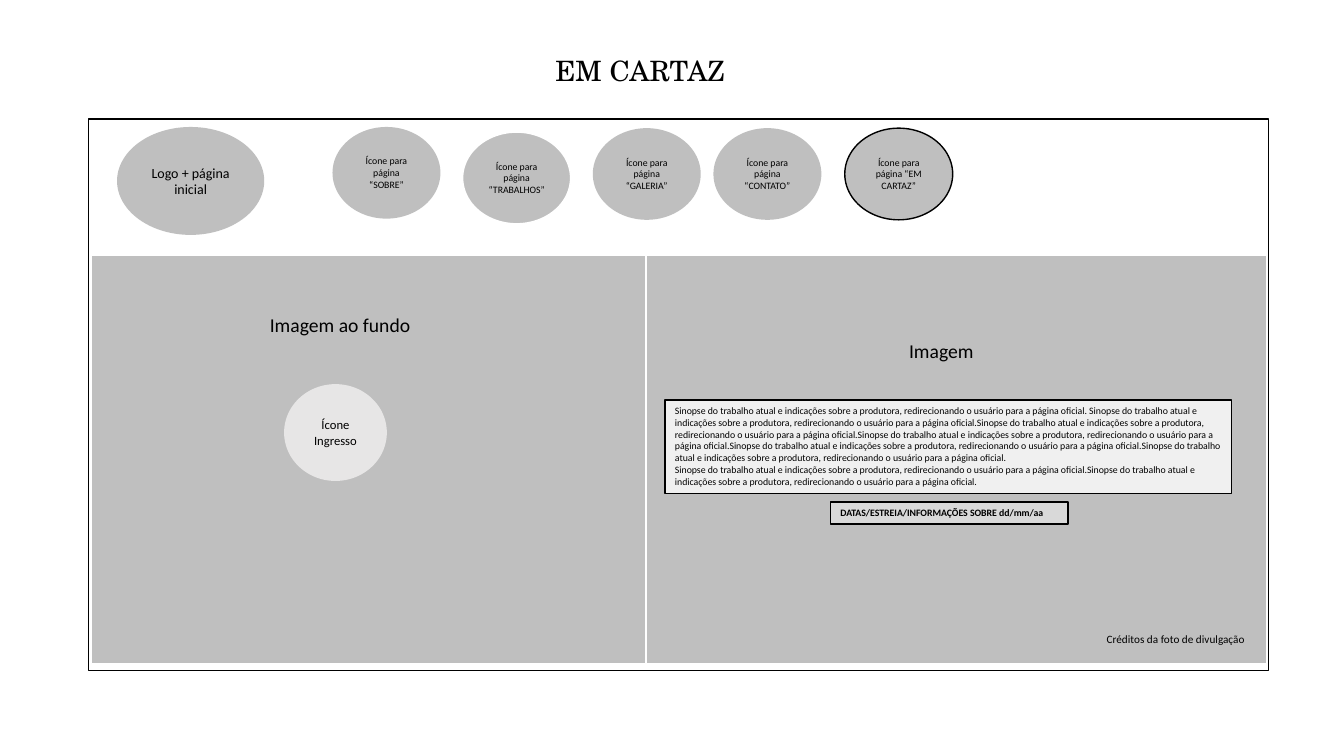
from dataclasses import dataclass

from pptx import Presentation
from pptx.dml.color import RGBColor
from pptx.enum.shapes import MSO_SHAPE
from pptx.enum.text import MSO_ANCHOR, MSO_AUTO_SIZE, PP_ALIGN
from pptx.util import Cm, Pt

RECT, OVAL = MSO_SHAPE.RECTANGLE, MSO_SHAPE.OVAL
TOP, MIDDLE = MSO_ANCHOR.TOP, MSO_ANCHOR.MIDDLE
LEFT, CENTER = PP_ALIGN.LEFT, PP_ALIGN.CENTER
GROW, FIXED = MSO_AUTO_SIZE.SHAPE_TO_FIT_TEXT, MSO_AUTO_SIZE.NONE


@dataclass(frozen=True)
class Theme:
    body: str = "Calibri"
    serif: str = "TeX Gyre Schola"
    black: str = "000000"
    white: str = "FFFFFF"
    gray: str = "BFBFBF"
    silver: str = "D9D9D9"
    mist: str = "E7E6E6"
    pale: str = "F0F0F0"
    title: int = 20
    head: int = 14
    logo: int = 10
    ticket: int = 9
    credit: int = 8
    small: int = 7


THEME = Theme()


@dataclass(frozen=True)
class Box:
    x: float
    y: float
    w: float
    h: float


@dataclass(frozen=True)
class Part:
    box: Box
    kind: int
    fill: str
    line: str = ""
    width: float = 1
    text: tuple = ()
    size: int = THEME.small
    bold: bool = False
    align: int = CENTER
    anchor: int = MIDDLE
    auto: int = FIXED


@dataclass(frozen=True)
class Label:
    box: Box
    text: str
    size: int


def place(box: Box) -> tuple:
    return Cm(box.x), Cm(box.y), Cm(box.w), Cm(box.h)


def write(shape, lines: tuple, *, size: int, face: str = THEME.body,
          bold: bool = False, align: int = LEFT, anchor: int = TOP,
          wrap: bool = True, auto: int = GROW) -> None:
    frame = shape.text_frame
    frame.text = "\n".join(lines)
    frame.word_wrap, frame.auto_size = wrap, auto
    frame.vertical_anchor = anchor
    for para in frame.paragraphs:
        para.alignment = align
        for run in para.runs:
            font = run.font
            font.name, font.size, font.bold = face, Pt(size), bold
            font.color.rgb = RGBColor.from_string(THEME.black)


def draw(slide, part: Part) -> None:
    shape = slide.shapes.add_shape(part.kind, *place(part.box))
    shape.shadow.inherit = False
    shape.fill.solid()
    shape.fill.fore_color.rgb = RGBColor.from_string(part.fill)
    if part.line:
        shape.line.color.rgb = RGBColor.from_string(part.line)
        shape.line.width = Pt(part.width)
    else:
        shape.line.fill.background()
    if part.text:
        write(shape, part.text, size=part.size, bold=part.bold,
              align=part.align, anchor=part.anchor, auto=part.auto)


def label(slide, item: Label) -> None:
    write(slide.shapes.add_textbox(*place(item.box)), (item.text,), size=item.size)


def icon(x: float, y: float, page: str, line: str = "") -> Part:
    return Part(Box(x, y, 2.72, 2.31), OVAL, THEME.gray, line,
                text=(f"Ícone para página “{page}”",))


def panel(x: float, w: float) -> Part:
    return Part(Box(x, 6.43, w, 10.29), RECT, THEME.gray, THEME.white)


def note(box: Box, fill: str, text: tuple, bold: bool = False) -> Part:
    return Part(box, RECT, fill, THEME.black, text=text, bold=bold,
                align=LEFT, anchor=TOP, auto=GROW)


PLOT = ("Sinopse do trabalho atual e indicações sobre a produtora, "
        "redirecionando o usuário para a página oficial.")

PARTS = (
    # Page frame and image panels
    Part(Box(2.24, 3, 29.74, 13.89), RECT, THEME.white, THEME.black, 0.75),
    panel(2.31, 14),
    panel(16.28, 15.65),
    # Menu
    Part(Box(2.95, 3.2, 3.71, 2.72), OVAL, THEME.gray,
         text=("Logo + página inicial",), size=THEME.logo),
    icon(8.38, 3.2, "SOBRE"),
    icon(11.66, 3.33, "TRABALHOS", THEME.white),
    icon(14.94, 3.23, "GALERIA"),
    icon(17.98, 3.23, "CONTATO"),
    icon(21.29, 3.23, "EM CARTAZ", THEME.black),
    # Ticket icon
    Part(Box(7.16, 9.68, 2.59, 2.44), OVAL, THEME.mist,
         text=("Ícone Ingresso",), size=THEME.ticket),
    # Synopsis and dates
    note(Box(16.76, 10.08, 14.27, 2.36), THEME.pale,
         (PLOT + " " + PLOT * 5, PLOT * 2)),
    note(Box(20.93, 12.65, 5.99, 0.56), THEME.silver,
         ("DATAS/ESTREIA/INFORMAÇÕES SOBRE dd/mm/aa",), bold=True),
)

LABELS = (
    Label(Box(6.55, 7.75, 5.49, 0.86), "Imagem ao fundo", THEME.head),
    Label(Box(22.66, 8.41, 2.57, 0.86), "Imagem", THEME.head),
    Label(Box(27.64, 15.8, 4.14, 0.61), "Créditos da foto de divulgação",
          THEME.credit),
)


def main() -> None:
    deck = Presentation()
    deck.slide_width, deck.slide_height = Cm(33.87), Cm(19.05)
    slide = deck.slides.add_slide(deck.slide_layouts[5])

    # Title
    title = slide.shapes.title
    title.left, title.top, title.width, title.height = place(
        Box(13.69, 1.22, 4.88, 1.12))
    write(title, ("EM CARTAZ",), size=THEME.title, face=THEME.serif,
          align=CENTER, wrap=False)

    # Wireframe
    for part in PARTS:
        draw(slide, part)
    for item in LABELS:
        label(slide, item)
    deck.save("out.pptx")


if __name__ == "__main__":
    main()
